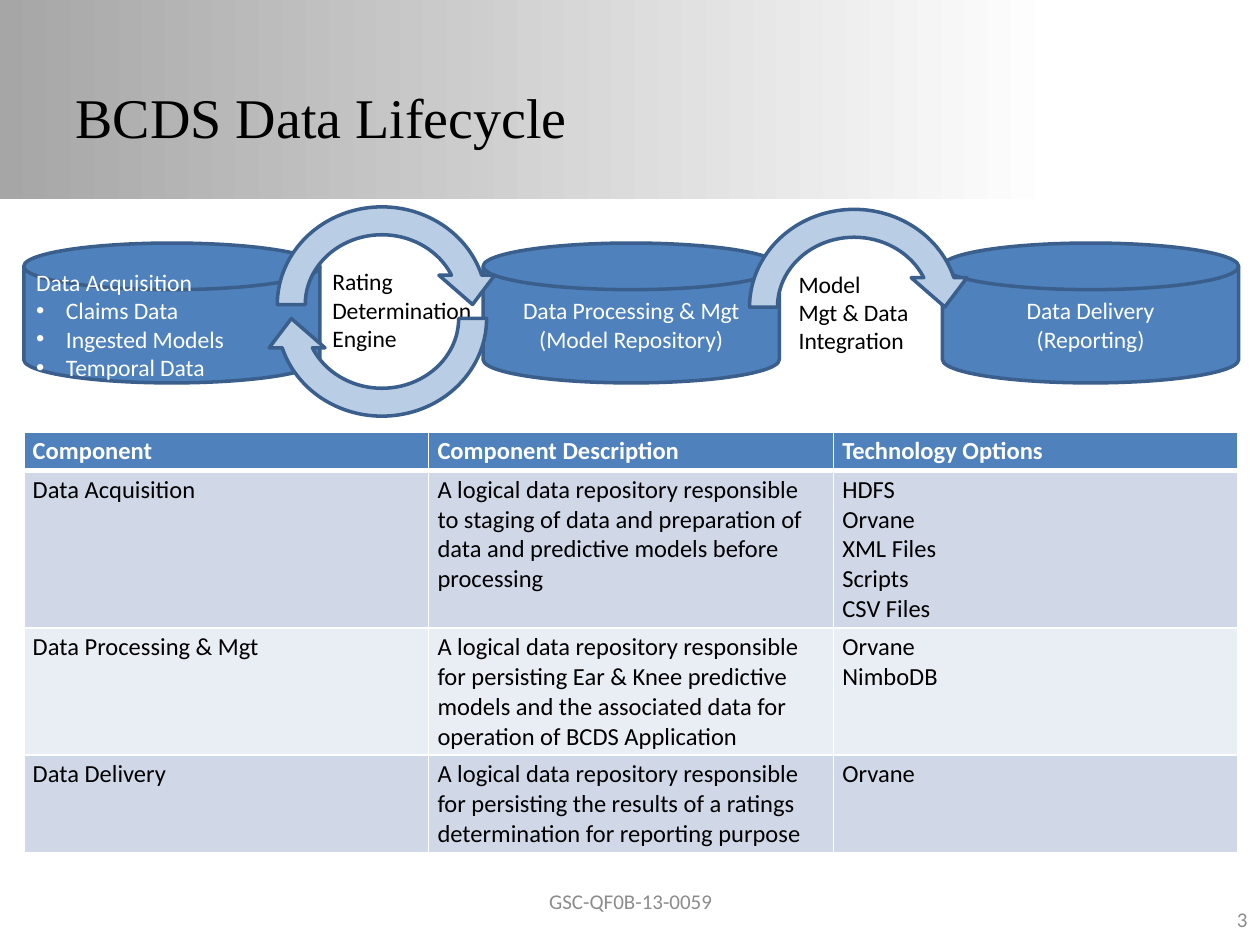
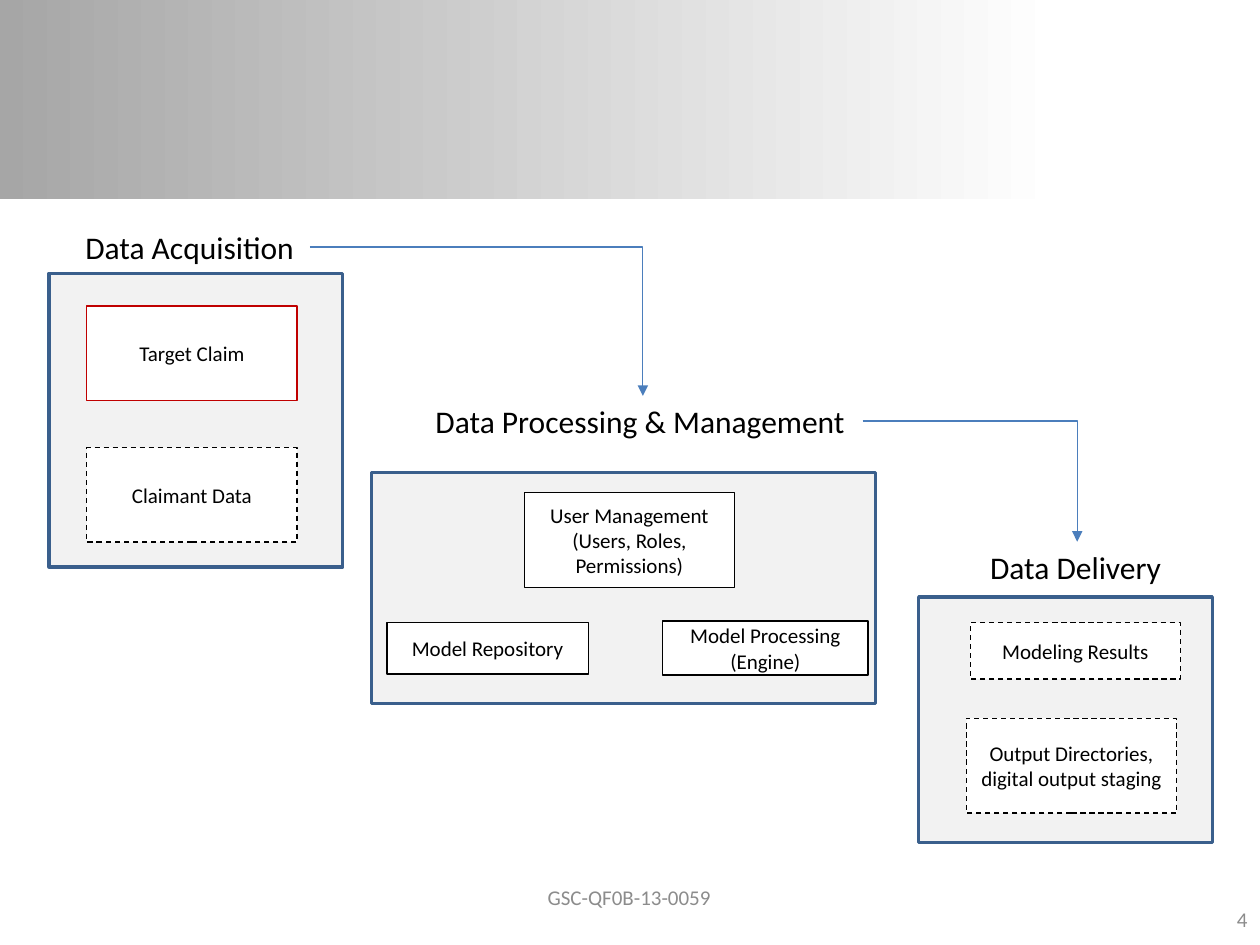
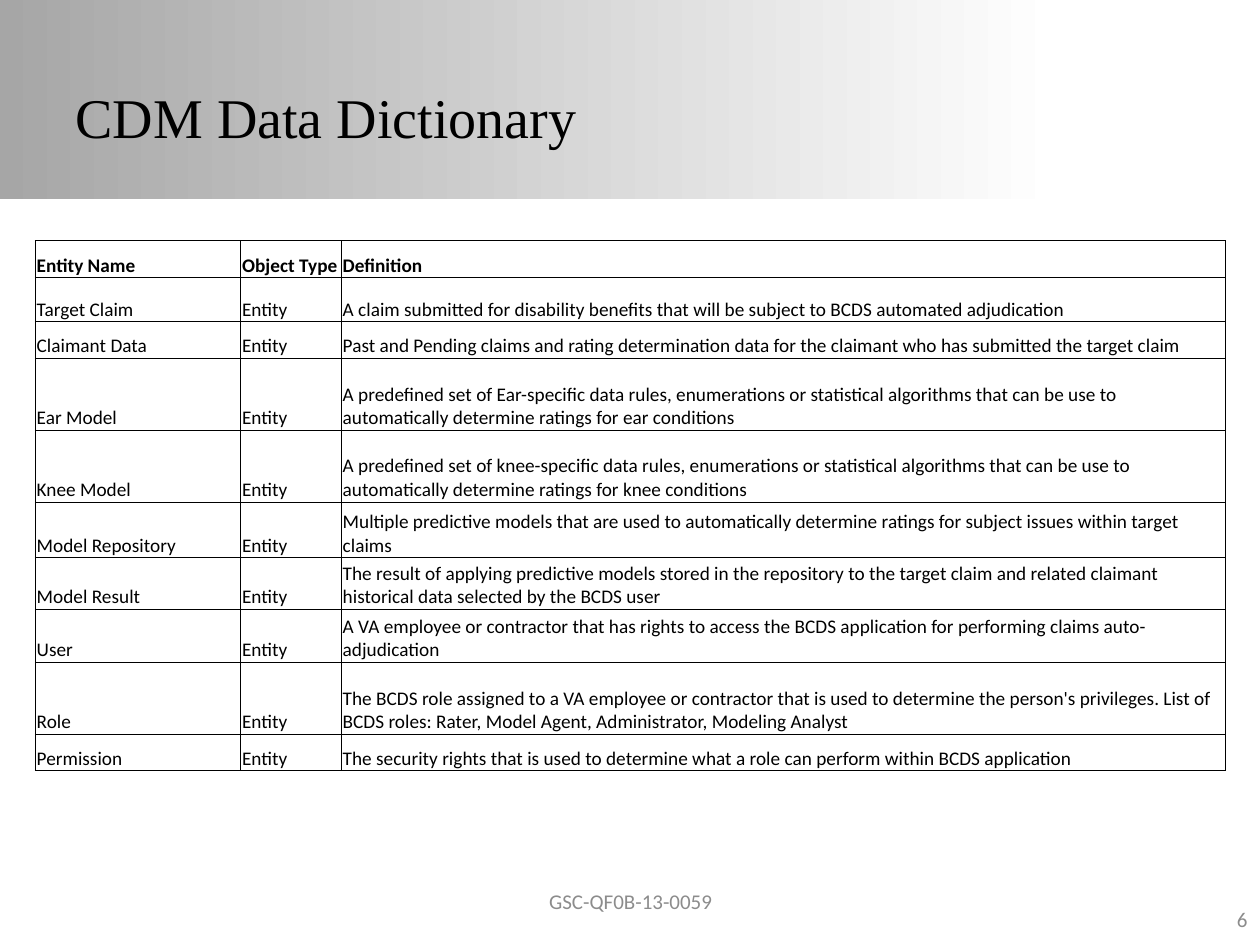
"""Build the BCDS data lifecycle, data flow and data dictionary slides."""
import pptx
import pptx.dml.color
import pptx.enum.dml
import pptx.enum.shapes
import pptx.enum.text
import pptx.oxml
import pptx.oxml.ns
import pptx.util

Cm, Pt = pptx.util.Cm, pptx.util.Pt
RGB = pptx.dml.color.RGBColor.from_string
MSO = pptx.enum.shapes.MSO_SHAPE
ALIGN = pptx.enum.text.PP_ALIGN
ANCHOR = pptx.enum.text.MSO_ANCHOR
FIT = pptx.enum.text.MSO_AUTO_SIZE.SHAPE_TO_FIT_TEXT
DASH = pptx.enum.dml.MSO_LINE.DASH
NS = pptx.oxml.ns.nsdecls("a")

COLORS = {
    "black": "000000", "white": "FFFFFF", "grey": "8C8C8C", "band": "A6A6A6",
    "blue": "4F81BD", "edge": "3A5F8C", "pale": "B9CDE5", "panel": "F2F2F2",
    "red": "C00000", "arrow": "4B7EBC", "row_dark": "D0D8E8", "row_light": "E9EDF4",
}
MIDDLE = {"word_wrap": True, "vertical_anchor": ANCHOR.MIDDLE}
TOP = {"word_wrap": True, "vertical_anchor": ANCHOR.TOP}
HEADING = {"word_wrap": False, "auto_size": FIT}
BODY = {"name": "Calibri", "size": Pt(13.5)}
SMALL = {"name": "Calibri", "size": Pt(12)}
LARGE = {"name": "Calibri", "size": Pt(18)}
TITLE = {"name": "Times New Roman", "size": Pt(32)}


def write(tf, text, frame, font, color="black", align=ALIGN.LEFT):
    for key, value in frame.items():
        setattr(tf, key, value)
    for i, line in enumerate(text.split("\n")):
        p = tf.paragraphs[0] if i == 0 else tf.add_paragraph()
        p.alignment = align
        r = p.add_run()
        r.text = line
        r.font.color.rgb = RGB(COLORS[color])
        for key, value in font.items():
            setattr(r.font, key, value)


def add_grid(s, left, top, widths, heights, rows, look):
    tbl = s.shapes.add_table(len(rows), len(widths), Cm(left), Cm(top),
                             Cm(sum(widths)), Cm(sum(heights))).table
    tbl.first_row = tbl.horz_banding = False
    for col, width in zip(tbl.columns, widths):
        col.width = Cm(width)
    for i, (row, height) in enumerate(zip(rows, heights)):
        tbl.rows[i].height = Cm(height)
        rules = {"L": look["rule"], "R": look["rule"],
                 "T": look["head_rule"] if i == 1 else look["rule"],
                 "B": look["head_rule"] if i == 0 else look["rule"]}
        for j, text in enumerate(row):
            cell = tbl.cell(i, j)
            for key, value in look["cell"].items():
                setattr(cell, key, value)
            write(cell.text_frame, text, {}, {**look["font"], "bold": i == 0},
                  look["head_color"] if i == 0 else "black")
            for side, width in rules.items():
                cell._tc.get_or_add_tcPr().append(pptx.oxml.parse_xml(
                    f'<a:ln{side} {NS} w="{Pt(width)}"><a:solidFill><a:srgbClr '
                    f'val="{COLORS[look["rule_color"]]}"/></a:solidFill></a:ln{side}>'))
            if look["fills"]:
                cell.fill.solid()
                cell.fill.fore_color.rgb = RGB(COLORS[look["fills"][i]])
            else:
                cell.fill.background()


prs = pptx.Presentation()
prs.slide_width, prs.slide_height = Cm(25.4), Cm(19.05)

pages = [("BCDS Data Lifecycle", "3", 8.69, 17.65),
         (None, "4", 8.66, 17.58),
         ("CDM Data Dictionary", "6", 8.69, 17.65)]
for title, number, footer_left, footer_top in pages:
    s = prs.slides.add_slide(prs.slide_layouts[5 if title else 6])
    if title:
        sp = s.shapes.title
        sp.left, sp.top, sp.width, sp.height = Cm(1.27), Cm(0.76), Cm(22.86), Cm(3.18)
        write(sp.text_frame, title, MIDDLE, TITLE)
    sp = s.shapes.add_textbox(Cm(footer_left), Cm(footer_top), Cm(8.05), Cm(1.02))
    write(sp.text_frame, "GSC-QF0B-13-0059", MIDDLE, SMALL, "grey", ALIGN.CENTER)
    sp = s.shapes.add_textbox(Cm(19.48), Cm(18.01), Cm(5.92), Cm(1.02))
    write(sp.text_frame, number, MIDDLE, SMALL, "grey", ALIGN.RIGHT)
lifecycle, flow, dictionary = prs.slides

band = lifecycle.shapes.add_shape(MSO.RECTANGLE, 0, 0, prs.slide_width, Cm(4.01))
band.shadow.inherit = False
band.line.fill.background()
band.fill.gradient()
band.fill.gradient_angle = 0
for stop, color, position in zip(band.fill.gradient_stops, ("band", "white"), (0, 0.84)):
    stop.color.rgb = RGB(COLORS[color])
    stop.position = position
band._element.nvSpPr.cNvPr.set("id", "20")
prs.slide_master.shapes._spTree.insert(2, band._element)

stores = [
    ("Data Acquisition\nClaims Data\nIngested Models\nTemporal Data", ALIGN.LEFT),
    ("Data Processing & Mgt\n(Model Repository)", ALIGN.CENTER),
    ("Data Delivery\n(Reporting)", ALIGN.CENTER),
]
for i, (text, align) in enumerate(stores):
    sp = lifecycle.shapes.add_shape(MSO.FLOWCHART_MAGNETIC_DISK,
                                    Cm(0.48 + 9.26 * i), Cm(4.9), Cm(5.97), Cm(2.82))
    sp.shadow.inherit = False
    sp.fill.solid()
    sp.fill.fore_color.rgb = RGB(COLORS["blue"])
    sp.line.color.rgb = RGB(COLORS["edge"])
    sp.line.width = Pt(2)
    write(sp.text_frame, text, MIDDLE, BODY, "white", align)
    if align == ALIGN.LEFT:
        for p in sp.text_frame.paragraphs[1:]:
            pPr = p._p.get_or_add_pPr()
            pPr.set("marL", str(Cm(0.6)))
            pPr.set("indent", str(-Cm(0.6)))
            pPr.append(pptx.oxml.parse_xml(f'<a:buFont {NS} typeface="Arial"/>'))
            pPr.append(pptx.oxml.parse_xml(f'<a:buChar {NS} char="•"/>'))

cycles = [
    (5.31, 3.89, 0, "Rating Determination Engine", 6.45, 5.26),
    (5.31, 4.17, 180, None, None, None),
    (14.83, 3.94, 0, "Model\nMgt & Data Integration", 15.85, 5.31),
]
for left, top, rotation, label, label_left, label_top in cycles:
    sp = lifecycle.shapes.add_shape(MSO.CIRCULAR_ARROW, Cm(left), Cm(top), Cm(4.78), Cm(4.5))
    sp.shadow.inherit = False
    sp.rotation = rotation
    sp.fill.solid()
    sp.fill.fore_color.rgb = RGB(COLORS["pale"])
    sp.line.color.rgb = RGB(COLORS["edge"])
    sp.line.width = Pt(2)
    if label:
        sp = lifecycle.shapes.add_textbox(Cm(label_left), Cm(label_top), Cm(3.43), Cm(2.57))
        write(sp.text_frame, label, TOP, BODY)

components = [
    ("Component", "Component Description", "Technology Options"),
    ("Data Acquisition",
     "A logical data repository responsible to staging of data and preparation of data "
     "and predictive models before processing",
     "HDFS\nOrvane\nXML Files\nScripts\nCSV Files"),
    ("Data Processing & Mgt",
     "A logical data repository responsible for persisting Ear & Knee predictive models "
     "and the associated data for operation of BCDS Application",
     "Orvane\nNimboDB"),
    ("Data Delivery",
     "A logical data repository responsible for persisting the results of a ratings "
     "determination for reporting purpose",
     "Orvane"),
]
add_grid(lifecycle, 0.48, 8.71, [8.16] * 3, [0.76, 3.18, 2.54, 1.98], components, {
    "font": {"name": "Calibri", "size": Pt(14)}, "head_color": "white",
    "rule": 1, "head_rule": 3, "rule_color": "white",
    "fills": ["blue", "row_dark", "row_light", "row_dark"],
    "cell": {"margin_left": Cm(0.18), "margin_right": Cm(0.18),
             "margin_top": Cm(0.09), "margin_bottom": Cm(0.09)},
})

boxes = [
    (None, 7.49, 9.53, 10.16, 4.65, "edge", None),
    (None, 0.99, 5.51, 5.92, 5.92, "edge", None),
    (None, 18.52, 12.04, 5.92, 4.95, "edge", None),
    ("Claimant Data", 1.75, 9.02, 4.24, 1.91, "black", DASH),
    ("Target Claim", 1.75, 6.17, 4.24, 1.91, "red", None),
    ("Model Repository", 7.8, 12.55, 4.06, 1.04, "black", None),
    ("Model Processing (Engine)", 13.36, 12.52, 4.14, 1.09, "black", None),
    ("Output Directories, digital output staging", 19.48, 14.48, 4.24, 1.91, "black", DASH),
    ("Modeling Results", 19.56, 12.55, 4.24, 1.14, "black", DASH),
    ("User Management\n(Users, Roles, Permissions)", 10.57, 9.93, 4.24, 1.91, "black", None),
]
for text, left, top, width, height, edge, dash in boxes:
    sp = flow.shapes.add_shape(MSO.RECTANGLE, Cm(left), Cm(top), Cm(width), Cm(height))
    sp.shadow.inherit = False
    sp.fill.solid()
    sp.fill.fore_color.rgb = RGB(COLORS["white" if text else "panel"])
    sp.line.color.rgb = RGB(COLORS[edge])
    sp.line.width = Pt(0.75 if text else 2)
    if dash:
        sp.line.dash_style = dash
    if text:
        write(sp.text_frame, text, MIDDLE, SMALL, "black", ALIGN.CENTER)

stages = []
for text, left, top, width in [("Data Acquisition", 1.47, 4.47, 4.78),
                               ("Data Processing & Management", 8.53, 7.98, 8.86),
                               ("Data Delivery", 19.71, 10.92, 4.01)]:
    sp = flow.shapes.add_textbox(Cm(left), Cm(top), Cm(width), Cm(1.02))
    write(sp.text_frame, text, HEADING, LARGE)
    stages.append(sp)
for source, target in zip(stages, stages[1:]):
    cxn = flow.shapes.add_connector(pptx.enum.shapes.MSO_CONNECTOR.ELBOW, 0, 0, 0, 0)
    cxn.begin_connect(source, 3)
    cxn.end_connect(target, 0)
    cxn.line.color.rgb = RGB(COLORS["arrow"])
    cxn.line.width = Pt(0.75)
    cxn.line._get_or_add_ln().append(pptx.oxml.parse_xml(f'<a:tailEnd {NS} type="triangle"/>'))
    spPr = cxn._element.spPr
    spPr.find(pptx.oxml.ns.qn("a:prstGeom")).set("prst", "bentConnector2")
    spPr.append(pptx.oxml.parse_xml(f"<a:effectLst {NS}/>"))

definitions = {
    "Target Claim": "A claim submitted for disability benefits that will be subject to "
                    "BCDS automated adjudication",
    "Claimant Data": "Past and Pending claims and rating determination data for the "
                     "claimant who has submitted the target claim",
    "Ear Model": "A predefined set of Ear-specific data rules, enumerations or statistical "
                 "algorithms that can be use to automatically determine ratings for ear "
                 "conditions",
    "Knee Model": "A predefined set of knee-specific data rules, enumerations or statistical "
                  "algorithms that can be use to automatically determine ratings for knee "
                  "conditions",
    "Model Repository": "Multiple predictive models that are used to automatically determine "
                        "ratings for subject issues within target claims",
    "Model Result": "The result of applying predictive models stored in the repository to "
                    "the target claim and related claimant historical data selected by the "
                    "BCDS user",
    "User": "A VA employee or contractor that has rights to access the BCDS application for "
            "performing claims auto-adjudication",
    "Role": "The BCDS role assigned to a VA employee or contractor that is used to determine "
            "the person's privileges. List of BCDS roles: Rater, Model Agent, Administrator, "
            "Modeling Analyst",
    "Permission": "The security rights that is used to determine what a role can perform "
                  "within BCDS application",
}
entities = [("Entity Name", "Object Type", "Definition")]
entities += [(name, "Entity", text) for name, text in definitions.items()]
add_grid(dictionary, 0.71, 4.85, [4.14, 2.03, 17.83],
         [0.74, 0.89, 0.74, 1.45, 1.45, 1.12, 1.04, 1.07, 1.45, 0.74], entities, {
    "font": {"name": "Calibri", "size": Pt(11)}, "head_color": "black",
    "rule": 0.5, "head_rule": 0.5, "rule_color": "black", "fills": None,
    "cell": {"margin_left": Cm(0.03), "margin_right": Cm(0.03), "margin_top": Cm(0.03),
             "margin_bottom": 0, "vertical_anchor": ANCHOR.BOTTOM},
})

prs.save("out.pptx")
